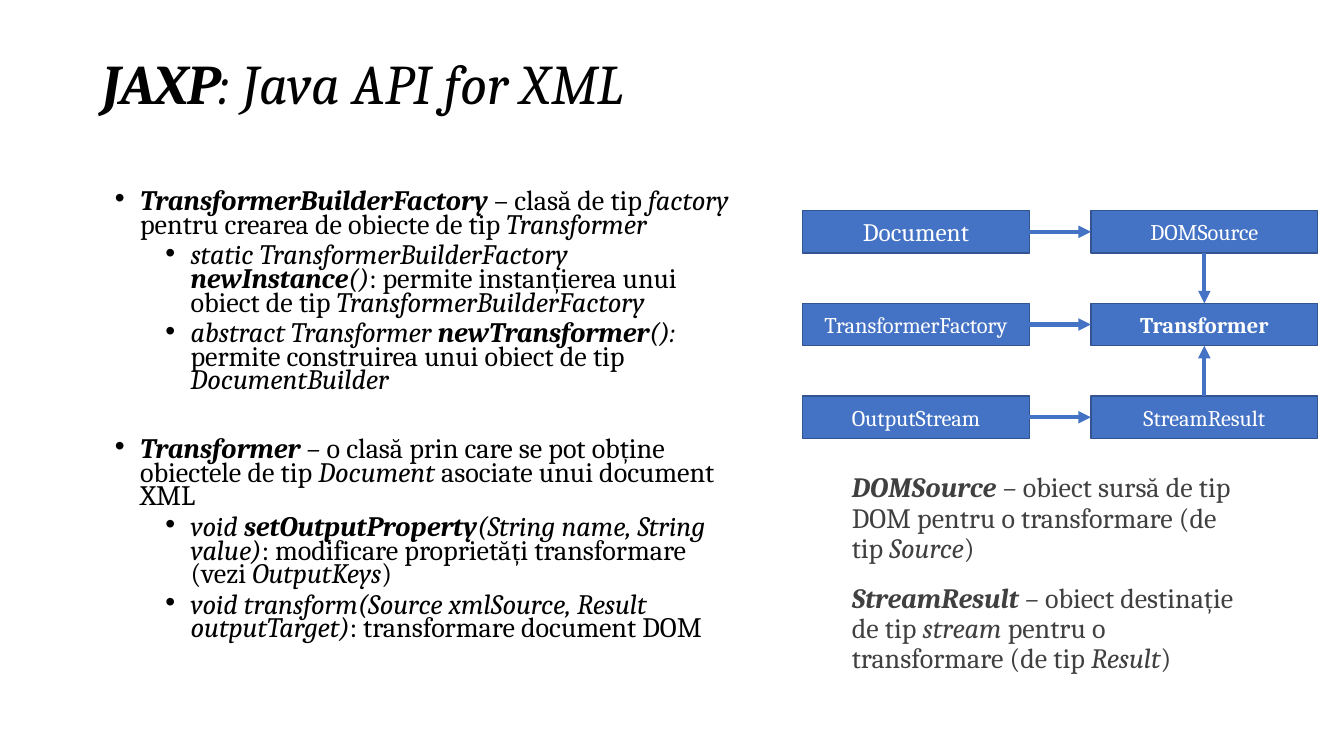
from lxml import etree
from pptx import Presentation
from pptx.dml import color
from pptx.enum import shapes, text
from pptx.oxml import ns
from pptx.util import Inches, Pt

FONT = "Cambria"
BLACK = color.RGBColor(0x00, 0x00, 0x00)
WHITE = color.RGBColor(0xFF, 0xFF, 0xFF)
GRAY = color.RGBColor(0x40, 0x40, 0x40)
BLUE = color.RGBColor(0x44, 0x72, 0xC4)
DARK_BLUE = color.RGBColor(0x32, 0x54, 0x91)

TITLE = "_*JAXP*: Java API for XML_"
METHODS = [
    (0, 10, "_*TransformerBuilderFactory*_ – clasă de tip _factory_ pentru crearea de obiecte de tip _Transformer_"),
    (1, 5, "_static TransformerBuilderFactory *newInstance*()_: permite instanțierea unui obiect de tip "
           "_TransformerBuilderFactory_"),
    (1, 5, "_abstract Transformer *newTransformer*(): _permite construirea unui obiect de tip _DocumentBuilder_"),
    (0, 32, "_*Transformer *– _o clasă prin care se pot obține obiectele de tip _Document_ asociate unui document XML"),
    (1, 5, "_void *setOutputProperty*(String name, String value)_: modificare proprietăți transformare "
           "(vezi _OutputKeys_)"),
    (1, 5, "_void transform(Source xmlSource, Result outputTarget)_: transformare document DOM"),
]
NOTES = [
    "_*DOMSource *– _obiect sursă de tip DOM pentru o transformare (de tip _Source_)",
    "_*StreamResult *– _obiect destinație de tip _stream_ pentru o transformare (de tip _Result_)",
]
DIAGRAM = [
    ("Document", 18, "DOMSource"),
    ("TransformerFactory", 16, "*Transformer*"),
    ("OutputStream", 16, "StreamResult"),
]


def write_text(paragraph, marked, size=20, fill=BLACK, align=text.PP_ALIGN.LEFT, spacing=1.0, before=0, after=0):
    """Fill a paragraph, where * toggles bold and _ toggles italic."""
    paragraph.alignment = align
    paragraph.line_spacing = spacing
    paragraph.space_before = Pt(before)
    paragraph.space_after = Pt(after)
    italic = False
    for bold_index, part in enumerate(marked.split("*")):
        for italic_index, words in enumerate(part.split("_")):
            if italic_index:
                italic = not italic
            if words:
                run = paragraph.add_run()
                run.text = words
                run.font.name = FONT
                run.font.size = Pt(size)
                run.font.bold = bold_index % 2 == 1
                run.font.italic = italic
                run.font.color.rgb = fill


def next_paragraph(frame, index):
    """Return the first paragraph of a frame, or a new one after it."""
    return frame.add_paragraph() if index else frame.paragraphs[0]


def place(shape, left, top, width, height):
    """Move a placeholder to a box given in inches."""
    shape.left, shape.top = Inches(left), Inches(top)
    shape.width, shape.height = Inches(width), Inches(height)
    shape.text_frame.word_wrap = True
    shape.text_frame.auto_size = text.MSO_AUTO_SIZE.NONE


def add_bullet(paragraph, level):
    """Give a paragraph a round bullet and a hanging indent."""
    paragraph.level = level
    properties = paragraph._p.get_or_add_pPr()
    properties.set("marL", str(Inches(0.25 + 0.5 * level)))
    properties.set("indent", str(Inches(-0.25)))
    etree.SubElement(properties, ns.qn("a:buFont")).set("typeface", "Arial")
    etree.SubElement(properties, ns.qn("a:buChar")).set("char", "•")


def build_title(slide, left, top, width, height):
    """Write the slide title."""
    title = slide.shapes.title
    place(title, left, top, width, height)
    title.text_frame.vertical_anchor = text.MSO_ANCHOR.MIDDLE
    write_text(title.text_frame.paragraphs[0], TITLE, size=40, spacing=0.9)


def build_methods(slide, left, top, width, height):
    """Write the bulleted list of classes and methods."""
    body = slide.placeholders[1]
    place(body, left, top, width, height)
    for index, (level, before, marked) in enumerate(METHODS):
        paragraph = next_paragraph(body.text_frame, index)
        write_text(paragraph, marked, size=20.1, spacing=0.7, before=before)
        add_bullet(paragraph, level)


def add_box(slide, label, size, left, top, width, height):
    """Draw one labelled class box."""
    box = slide.shapes.add_shape(shapes.MSO_SHAPE.RECTANGLE, Inches(left), Inches(top), Inches(width), Inches(height))
    box.shadow.inherit = False
    box.fill.solid()
    box.fill.fore_color.rgb = BLUE
    box.line.color.rgb = DARK_BLUE
    box.line.width = Pt(1)
    box.text_frame.word_wrap = True
    box.text_frame.vertical_anchor = text.MSO_ANCHOR.MIDDLE
    write_text(box.text_frame.paragraphs[0], label, size=size, fill=WHITE, align=text.PP_ALIGN.CENTER)
    return box


def add_arrow(slide, source, source_site, target, target_site):
    """Join two boxes with an arrow."""
    arrow = slide.shapes.add_connector(shapes.MSO_CONNECTOR.STRAIGHT, 0, 0, 0, 0)
    arrow.begin_connect(source, source_site)
    arrow.end_connect(target, target_site)
    arrow.line.color.rgb = BLUE
    arrow.line.width = Pt(3)
    etree.SubElement(arrow.line._get_or_add_ln(), ns.qn("a:tailEnd")).set("type", "triangle")
    etree.SubElement(arrow._element.spPr, ns.qn("a:effectLst"))


def build_diagram(slide, left, top, width, height):
    """Draw the two columns of boxes and the arrows between them."""
    box_width, box_height = 2.25, 0.42
    step = (height - box_height) / (len(DIAGRAM) - 1)
    up, west, down, east = range(4)
    results = []
    for row, (label, size, result_label) in enumerate(DIAGRAM):
        y = top + row * step
        source = add_box(slide, label, size, left, y, box_width, box_height)
        result = add_box(slide, result_label, 16, left + width - box_width, y, box_width, box_height)
        add_arrow(slide, source, east, result, west)
        results.append(result)
    dom_source, transformer, stream_result = results
    add_arrow(slide, dom_source, down, transformer, up)
    add_arrow(slide, stream_result, up, transformer, down)


def build_notes(slide, left, top, width, height):
    """Write the explanations below the diagram."""
    frame = slide.shapes.add_textbox(Inches(left), Inches(top), Inches(width), Inches(height)).text_frame
    frame.word_wrap = True
    frame.margin_right = 0
    for index, marked in enumerate(NOTES):
        write_text(next_paragraph(frame, index), marked, fill=GRAY, spacing=0.9, before=12, after=2)


def main():
    """Build and save the slide."""
    presentation = Presentation()
    presentation.slide_width, presentation.slide_height = Inches(13.33), Inches(7.5)
    slide = presentation.slides.add_slide(presentation.slide_layouts[1])
    build_title(slide, 0.92, 0.42, 11.5, 0.87)
    build_methods(slide, 1.04, 1.85, 6.44, 4.97)
    build_diagram(slide, 7.96, 2.09, 5.11, 2.26)
    build_notes(slide, 8.35, 4.65, 3.95, 2.17)
    presentation.save("out.pptx")


if __name__ == "__main__":
    main()
